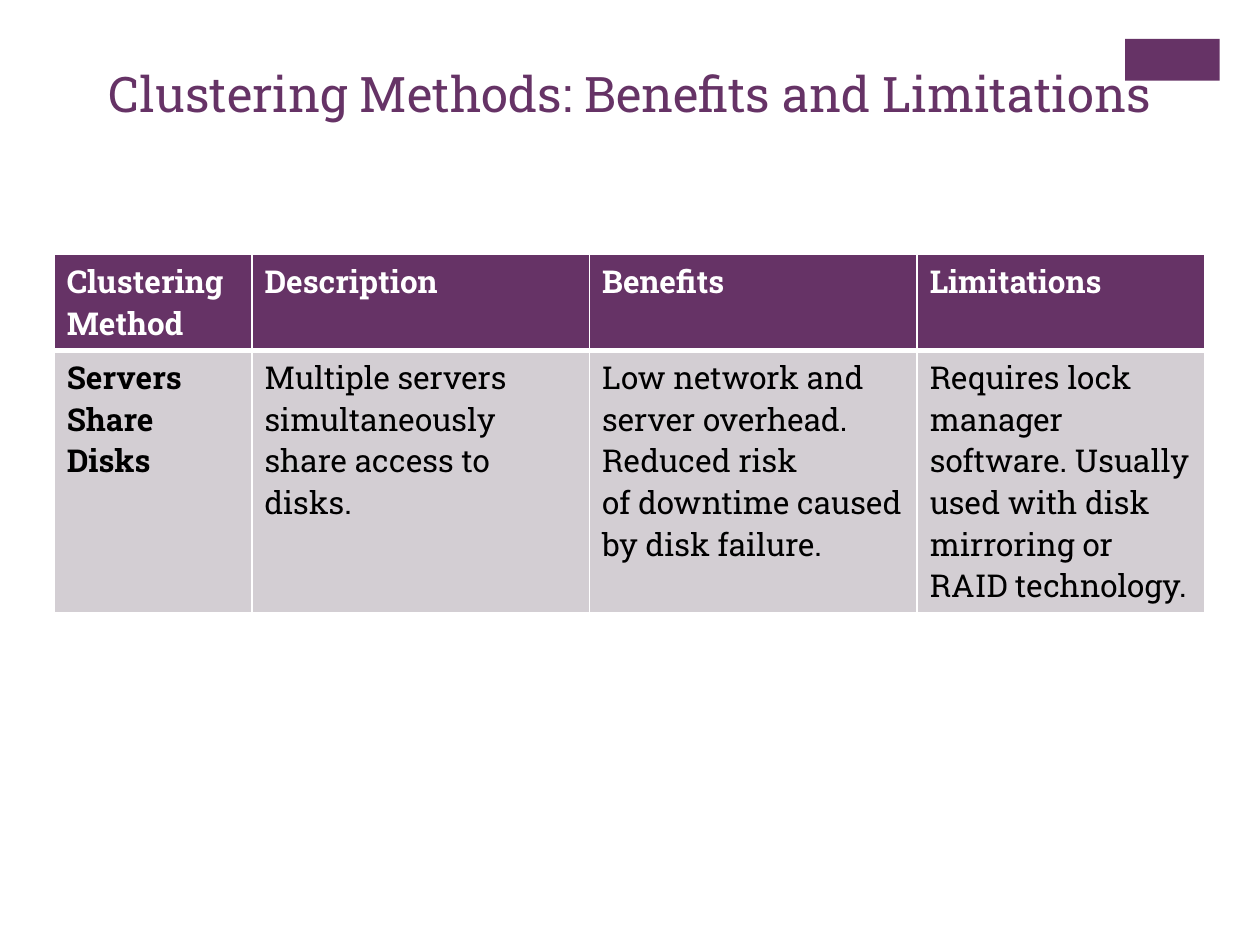
from lxml import etree
from pptx import Presentation
from pptx.dml.color import RGBColor
from pptx.enum.shapes import MSO_SHAPE
from pptx.enum.text import MSO_ANCHOR, PP_ALIGN
from pptx.oxml.ns import qn
from pptx.util import Inches, Pt

RECT = MSO_SHAPE.RECTANGLE
TOP = MSO_ANCHOR.TOP
CENTER = PP_ALIGN.CENTER
PURPLE = RGBColor(0x66, 0x33, 0x66)
GREY = RGBColor(0xD3, 0xCE, 0xD3)
WHITE = RGBColor(0xFF, 0xFF, 0xFF)
BLACK = RGBColor(0, 0, 0)
FONT = "Roboto Slab"

COLS = [1.57, 2.68, 2.6, 2.28]
ROWS = [0.76, 2.08]
HEAD = [["Clustering Method"], ["Description"], ["Benefits"], ["Limitations"]]
BODY = [
    ["Servers Share", "Disks"],
    ["Multiple servers simultaneously share access to disks."],
    ["Low network and server overhead. Reduced risk",
     "of downtime caused by disk failure."],
    ["Requires lock manager software. Usually used with disk mirroring or",
     "RAID technology."],
]


def add_run(para, text, size, color, bold=False):
    """Add one styled run to a paragraph."""
    run = para.add_run()
    run.text = text
    font = run.font
    font.name, font.size, font.bold = FONT, Pt(size), bold
    font.color.rgb = color


def add_tab(slide):
    """Add the purple corner tab."""
    tab = slide.shapes.add_shape(
        RECT, Inches(8.93), Inches(0.31), Inches(0.75), Inches(0.33))
    tab.shadow.inherit = False
    tab.fill.solid()
    tab.fill.fore_color.rgb = PURPLE
    tab.line.fill.background()


def add_title(slide, text):
    """Add the centred title."""
    box = slide.shapes.add_textbox(0, 0, Inches(10), Inches(1.22))
    frame = box.text_frame
    frame.word_wrap = True
    frame.vertical_anchor = TOP
    frame.margin_top = Inches(0.5)
    para = frame.paragraphs[0]
    para.alignment = CENTER
    add_run(para, text, 28, PURPLE)


def add_edge(cell, side, width):
    """Draw one white cell border."""
    props = cell._tc.get_or_add_tcPr()
    line = etree.SubElement(props, qn("a:ln" + side), w=str(Pt(width)))
    fill = etree.SubElement(line, qn("a:solidFill"))
    etree.SubElement(fill, qn("a:srgbClr"), val=str(WHITE))


def fill_cell(cell, lines, color, back, bold, edges):
    """Set the borders, fill and text of a cell."""
    for side, width in zip("LRTB", edges):
        add_edge(cell, side, width)
    cell.fill.solid()
    cell.fill.fore_color.rgb = back
    frame = cell.text_frame
    for i, text in enumerate(lines):
        para = frame.add_paragraph() if i else frame.paragraphs[0]
        add_run(para, text, 18, color, bold)


def add_grid(slide):
    """Add the table of clustering methods."""
    table = slide.shapes.add_table(
        len(ROWS), len(COLS), Inches(0.43), Inches(2.02),
        Inches(sum(COLS)), Inches(sum(ROWS))).table
    for col, width in zip(table.columns, COLS):
        col.width = Inches(width)
    for row, height in zip(table.rows, ROWS):
        row.height = Inches(height)
    for i, (head, body) in enumerate(zip(HEAD, BODY)):
        fill_cell(table.cell(0, i), head, WHITE, PURPLE, True, (1, 1, 1, 3))
        fill_cell(table.cell(1, i), body, BLACK, GREY, i == 0, (1, 1, 3, 1))


def main():
    """Build and save the slide."""
    deck = Presentation()
    deck.slide_width, deck.slide_height = Inches(10), Inches(7.5)
    slide = deck.slides.add_slide(deck.slide_layouts[6])
    add_tab(slide)
    add_title(slide, "Clustering Methods: Benefits and Limitations")
    add_grid(slide)
    deck.save("out.pptx")


main()
